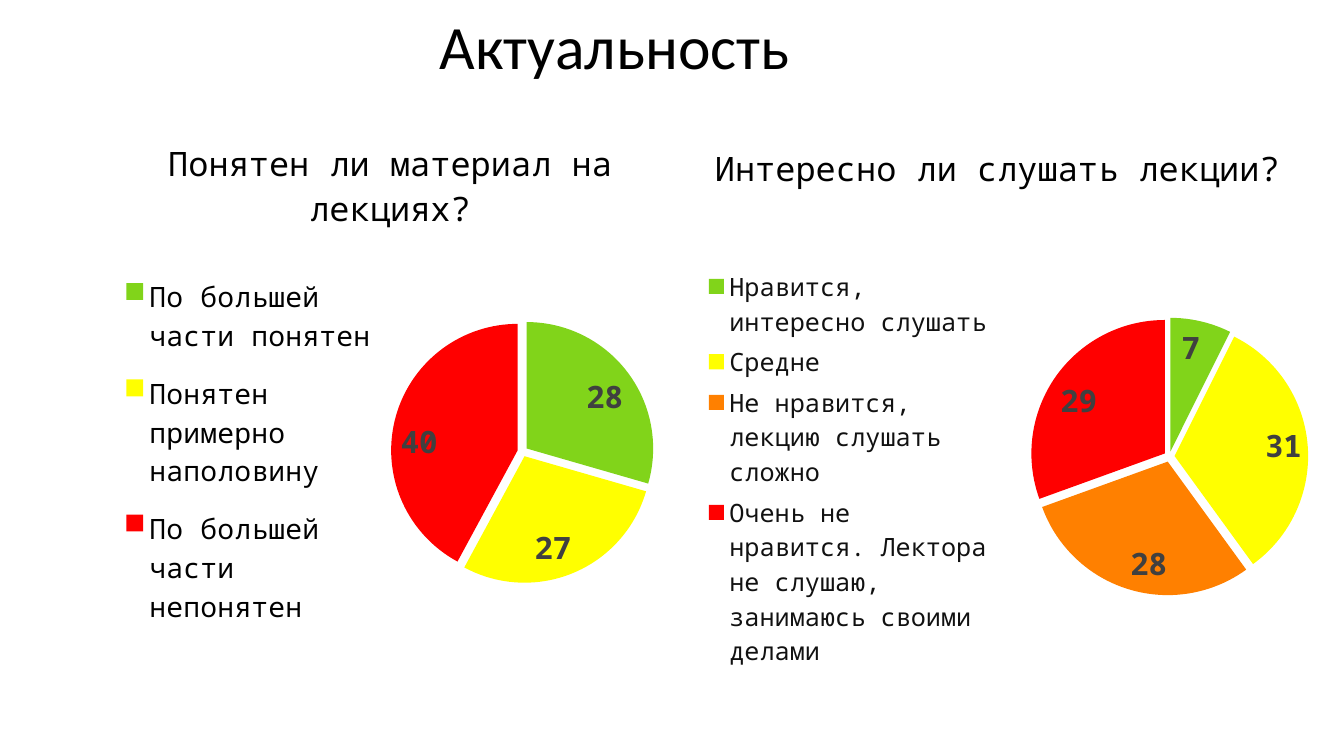
from dataclasses import dataclass

import pptx
import pptx.chart.chart
import pptx.chart.data
import pptx.dml.color
import pptx.enum.chart
import pptx.enum.text
import pptx.oxml
import pptx.oxml.ns
import pptx.slide
import pptx.text.text
import pptx.util
from pptx.util import Inches

RGBColor = pptx.dml.color.RGBColor
LegendPosition = pptx.enum.chart.XL_LEGEND_POSITION

BLACK = RGBColor(0x00, 0x00, 0x00)
NEAR_BLACK = RGBColor(0x11, 0x11, 0x11)
LABEL_GRAY = RGBColor(0x40, 0x40, 0x40)
GREEN = RGBColor(0x81, 0xD4, 0x1A)
YELLOW = RGBColor(0xFF, 0xFF, 0x00)
ORANGE = RGBColor(0xFF, 0x80, 0x00)
RED = RGBColor(0xFF, 0x00, 0x00)

MONO = "Noto Sans Mono"
SLICE_GAP = 4  # explosion, percent of the radius


@dataclass
class Answer:
    text: str
    votes: int
    color: RGBColor


@dataclass
class Survey:
    question: str
    answers: list[Answer]
    box: tuple[float, float, float, float]  # inches
    # Positions inside the chart, as fractions of its size
    question_at: tuple[float, ...]
    legend_at: tuple[float, ...]
    pie_at: tuple[float, ...]
    legend_position: LegendPosition
    legend_size: int
    legend_color: RGBColor


SURVEYS = [
    Survey(
        "Понятен ли материал на лекциях?",
        [
            Answer("По большей части понятен", 28, GREEN),
            Answer("Понятен примерно наполовину", 27, YELLOW),
            Answer("По большей части непонятен", 40, RED),
        ],
        (0.84, 0.93, 5.91, 6.07),
        (0.13, 0.06), (0.06, 0.27, 0.43, 0.63), (0.5, 0.37, 0.47, 0.43),
        LegendPosition.LEFT, 20, BLACK,
    ),
    Survey(
        "Интересно ли слушать лекции?",
        [
            Answer("Нравится, интересно слушать", 7, GREEN),
            Answer("Средне", 31, YELLOW),
            Answer("Не нравится, лекцию слушать сложно", 28, ORANGE),
            Answer("Очень не нравится. Лектора не слушаю, занимаюсь своими делами",
                   29, RED),
        ],
        (6.74, 0.99, 7.25, 6),
        (0.04, 0.06), (0.03, 0.27, 0.4, 0.68), (0.48, 0.36, 0.38, 0.46),
        LegendPosition.BOTTOM, 18, NEAR_BLACK,
    ),
]


def style_font(font: pptx.text.text.Font, size: int, color: RGBColor,
               name: str = MONO, bold: bool = False) -> None:
    font.name = name
    font.size = pptx.util.Pt(size)
    font.color.rgb = color
    font.bold = bold


def place_part(chart: pptx.chart.chart.Chart, part: str, index: int,
               fractions: tuple[float, ...]) -> None:
    """Give a chart part a manual layout as its child number index."""
    parent = chart.element.xpath(f"c:chart/c:{part}")[0]
    for old_layout in parent.xpath("c:layout"):
        parent.remove(old_layout)
    target = '<c:layoutTarget val="inner"/>' if part == "plotArea" else ""
    modes = '<c:xMode val="edge"/><c:yMode val="edge"/>'
    sizes = "".join(f'<c:{key} val="{value}"/>' for key, value in zip("xywh", fractions))
    parent.insert(index, pptx.oxml.parse_xml(
        f'<c:layout {pptx.oxml.ns.nsdecls("c")}><c:manualLayout>'
        f"{target}{modes}{sizes}</c:manualLayout></c:layout>"))


def add_survey(slide: pptx.slide.Slide, survey: Survey) -> None:
    votes = pptx.chart.data.CategoryChartData(number_format="0")
    votes.categories = [answer.text for answer in survey.answers]
    votes.add_series("Series 1", [answer.votes for answer in survey.answers])
    chart = slide.shapes.add_chart(
        pptx.enum.chart.XL_CHART_TYPE.PIE,
        *(Inches(length) for length in survey.box), votes).chart
    style_font(chart.font, 10, BLACK, "Arial")

    # Question
    chart.has_title = True
    question = chart.chart_title.text_frame
    question.text = survey.question
    style_font(question.paragraphs[0].runs[0].font, 24, BLACK)
    place_part(chart, "title", 1, survey.question_at)

    # Legend
    chart.has_legend = True
    chart.legend.position = survey.legend_position
    chart.legend.include_in_layout = False
    style_font(chart.legend.font, survey.legend_size, survey.legend_color)
    place_part(chart, "legend", 1, survey.legend_at)

    # Slices
    pie = chart.plots[0]
    pie.vary_by_categories = True
    place_part(chart, "plotArea", 0, survey.pie_at)
    for index, answer in enumerate(survey.answers):
        fill = pie.series[0].points[index].format.fill
        fill.solid()
        fill.fore_color.rgb = answer.color
    first_slice = chart.element.xpath(".//c:ser/c:dPt")[0]
    first_slice.addprevious(pptx.oxml.parse_xml(
        f'<c:explosion {pptx.oxml.ns.nsdecls("c")} val="{SLICE_GAP}"/>'))

    # Vote counts
    counts = pie.series[0].data_labels
    counts.show_value = True
    counts.number_format = "0"
    counts.number_format_is_linked = False
    counts.position = pptx.enum.chart.XL_LABEL_POSITION.INSIDE_END
    style_font(counts.font, 22, LABEL_GRAY, bold=True)


def add_heading(slide: pptx.slide.Slide) -> None:
    heading = slide.shapes.title
    heading.left, heading.top = Inches(4.26), Inches(0.06)
    heading.width, heading.height = Inches(6.74), Inches(0.87)
    frame = heading.text_frame
    frame.text = "Актуальность"
    frame.vertical_anchor = pptx.enum.text.MSO_ANCHOR.MIDDLE
    line = frame.paragraphs[0]
    line.alignment = pptx.enum.text.PP_ALIGN.LEFT
    line.line_spacing = 0.9
    style_font(line.runs[0].font, 44, BLACK, "Calibri")


def main() -> None:
    presentation = pptx.Presentation()
    presentation.slide_width = Inches(13.33)
    presentation.slide_height = Inches(7.5)
    slide = presentation.slides.add_slide(presentation.slide_layouts[5])
    add_heading(slide)
    for survey in SURVEYS:
        add_survey(slide, survey)
    presentation.save("out.pptx")


if __name__ == "__main__":
    main()
